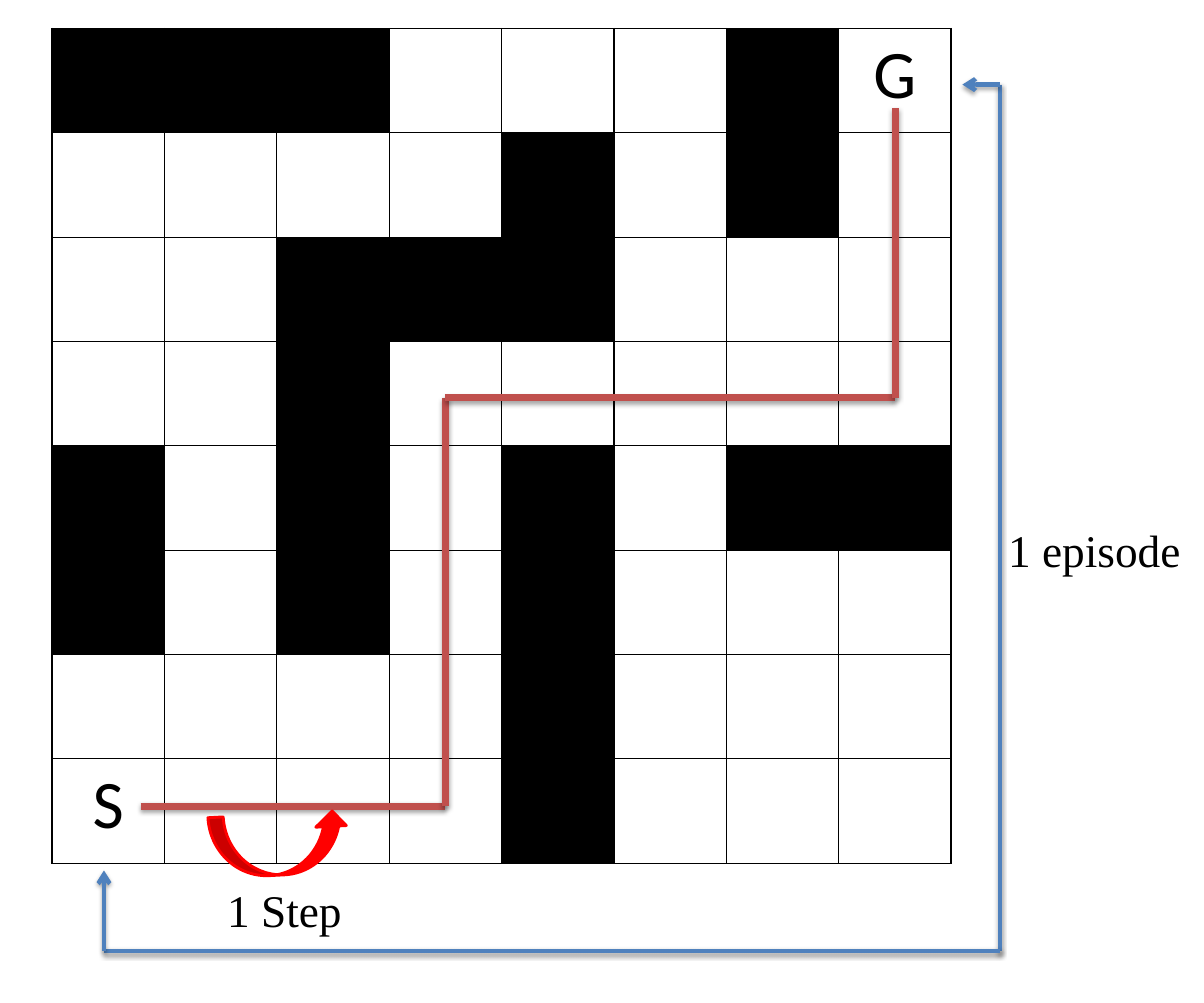
from lxml import etree
from pptx import Presentation
from pptx.dml.color import RGBColor as Rgb
from pptx.enum.shapes import MSO_CONNECTOR as Link, MSO_SHAPE as Kind
from pptx.enum.text import MSO_AUTO_SIZE as Fit, PP_ALIGN as Align
from pptx.oxml import parse_xml
from pptx.oxml.ns import nsdecls, qn
from pptx.util import Inches, Pt

HUES = {"wall": "000000", "free": "FFFFFF", "ink": "000000",
        "route": "C0504D", "span": "4F81BD", "step": "FF0000"}
MAZE = ["###...#G",
        "....#.#.",
        "..###...",
        "..#.....",
        "#.#.#.##",
        "#.#.#...",
        "....#...",
        "S...#..."]
MARK = {"name": "Calibri", "size": Pt(48)}
NOTE = {"name": "Times New Roman", "size": Pt(32)}
GRID = (0.51, 0.28, 8.82, 8.19)


def hue(key):
    return Rgb.from_string(HUES[key])


def style(font, form):
    for key, value in form.items():
        setattr(font, key, value)
    font.color.rgb = hue("ink")


def frame(cell):
    props = cell._tc.get_or_add_tcPr()
    for side in ("lnL", "lnR", "lnT", "lnB"):
        edge = etree.SubElement(props, qn(f"a:{side}"), w=str(Pt(1)))
        fill = etree.SubElement(edge, qn("a:solidFill"))
        etree.SubElement(fill, qn("a:srgbClr"), val=HUES["ink"])


def add_maze(slide, box):
    size = len(MAZE)
    table = slide.shapes.add_table(size, size, *map(Inches, box)).table
    table.first_row = table.horz_banding = False
    for row, line in enumerate(MAZE):
        for col, sign in enumerate(line):
            cell = table.cell(row, col)
            frame(cell)
            cell.fill.solid()
            cell.fill.fore_color.rgb = hue("wall" if sign == "#" else "free")
            if sign.isalpha():
                para = cell.text_frame.paragraphs[0]
                para.text = sign
                para.alignment = Align.CENTER
                style(para.runs[0].font, MARK)


def add_line(slide, start, end, key, width, arrow=False):
    line = slide.shapes.add_connector(
        Link.STRAIGHT, *map(Inches, (*start, *end)))
    line.line.color.rgb = hue(key)
    line.line.width = Pt(width)
    if arrow:
        etree.SubElement(line.line._ln, qn("a:tailEnd"), type="arrow")
    line._element.spPr.append(parse_xml(
        f'<a:effectLst {nsdecls("a")}>'
        '<a:outerShdw blurRad="40000" dist="23000" dir="5400000" rotWithShape="0">'
        f'<a:srgbClr val="{HUES["ink"]}"><a:alpha val="35000"/></a:srgbClr>'
        '</a:outerShdw></a:effectLst>'))


def add_route(slide, box):
    left, top, wide, high = box
    start, turn, goal = left + 0.87, left + 3.86, left + 8.27
    low, mid, peak = top + 7.63, top + 3.62, top + 0.78
    stops = [(start, low), (turn, low), (turn, mid), (goal, mid), (goal, peak)]
    for here, there in zip(stops, stops[1:]):
        add_line(slide, here, there, "route", 5)


def add_span(slide, box):
    left, top, wide, high = box
    right, base = left + wide + 0.48, top + high + 0.86
    start, goal = left + 0.51, top + 0.55
    add_line(slide, (right, goal), (right, base), "span", 3)
    add_line(slide, (right, base), (start, base), "span", 3)
    add_line(slide, (right, goal), (left + wide + 0.11, goal), "span", 3, True)
    add_line(slide, (start, base), (start, top + high + 0.07), "span", 3, True)


def add_note(slide, text, box):
    frame = slide.shapes.add_textbox(*map(Inches, box)).text_frame
    frame.word_wrap = False
    frame.auto_size = Fit.SHAPE_TO_FIT_TEXT
    frame.text = text
    style(frame.paragraphs[0].runs[0].font, NOTE)


def add_step(slide, box):
    arrow = slide.shapes.add_shape(Kind.CURVED_RIGHT_ARROW, *map(Inches, box))
    arrow.rotation = 266.9
    arrow.shadow.inherit = False
    arrow.fill.solid()
    arrow.fill.fore_color.rgb = hue("step")
    arrow.line.color.rgb = hue("step")
    arrow.line.width = Pt(2)


def main():
    deck = Presentation()
    deck.slide_width, deck.slide_height = Inches(11.81), Inches(9.84)
    slide = deck.slides.add_slide(deck.slide_layouts[6])
    add_maze(slide, GRID)
    add_route(slide, GRID)
    add_note(slide, "1 Step", (2.13, 8.61, 1.34, 0.64))
    add_span(slide, GRID)
    add_note(slide, "1 episode", (9.79, 5.07, 1.91, 0.64))
    add_step(slide, (2.44, 7.6, 0.6, 1.37))
    deck.save("out.pptx")


if __name__ == "__main__":
    main()
